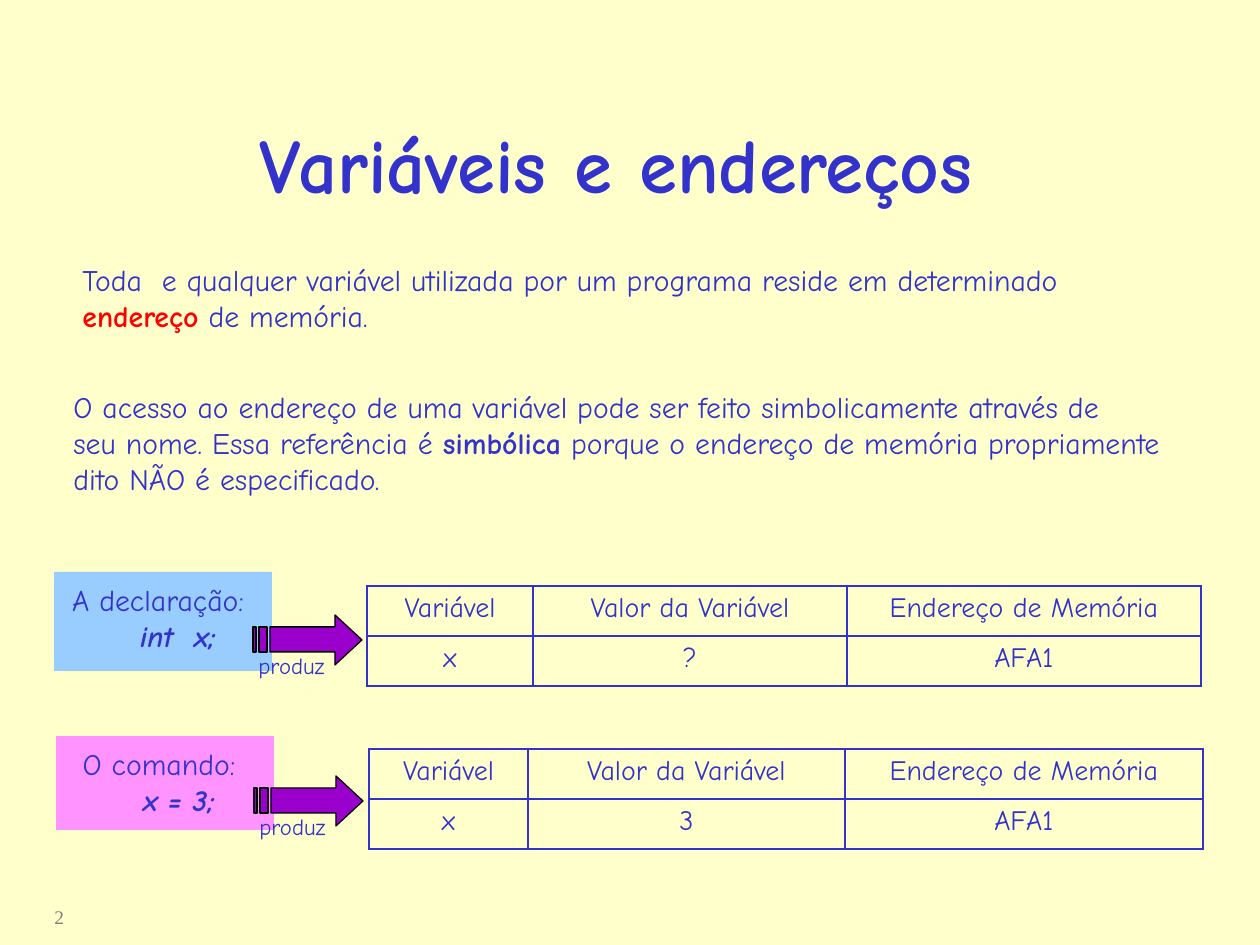
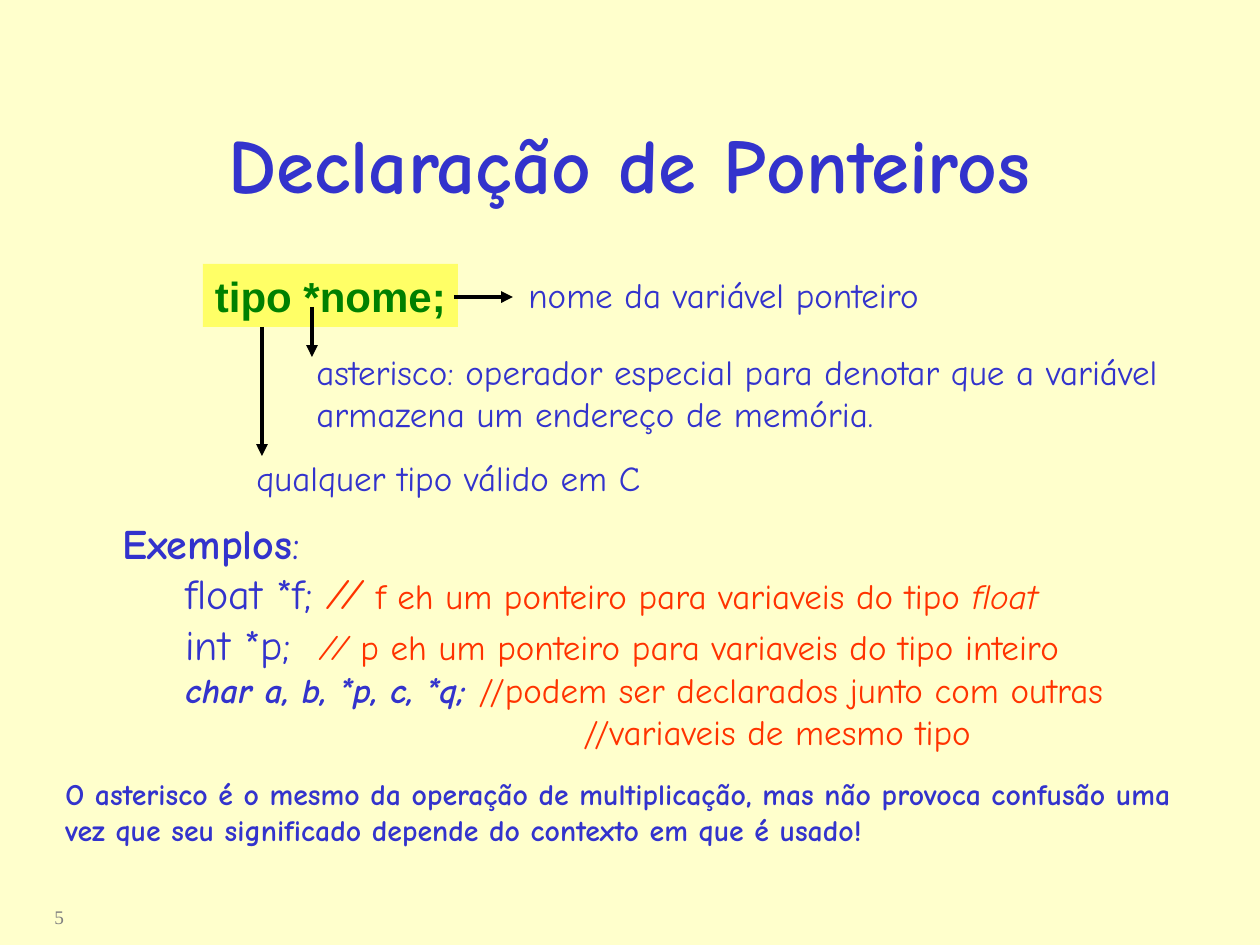
from lxml.etree import SubElement
from pptx import Presentation
from pptx.dml.color import RGBColor
from pptx.enum.shapes import MSO_CONNECTOR, MSO_SHAPE
from pptx.enum.text import MSO_ANCHOR, PP_ALIGN
from pptx.oxml.ns import qn
from pptx.util import Pt

PIXEL = 914400 // 126
BODY_FONT = "Comic Neue"
COLORS = {
    "page": "FFFFCC", "text": "3333CC", "number": "808080", "alert": "FF0000",
    "comment": "FF3300", "declaration": "99CCFF", "command": "FF93FF",
    "arrow": "9900CC", "syntax": "FFFF66", "code": "008000", "line": "000000",
}
BOLD = {"bold": True}
CODE = {"bold": True, "italic": True}
COMMENT = {"color": "comment"}
COMMENT_ITALIC = {"color": "comment", "italic": True}


def rgb(name):
    """Return the named palette colour."""
    return RGBColor.from_string(COLORS[name])


def write(shape, lines, size, color="text", font=BODY_FONT, bold=False,
          align=PP_ALIGN.LEFT, anchor=MSO_ANCHOR.TOP, indents=()):
    """Fill a shape with lines, each a string or a list of (text, changes)."""
    frame = shape.text_frame
    frame.word_wrap = True
    frame.vertical_anchor = anchor
    for index, line in enumerate(lines):
        para = frame.paragraphs[0] if index == 0 else frame.add_paragraph()
        para.alignment = align
        para.font.size, para.font.name, para.font.bold = Pt(size), font, bold
        para.font.color.rgb = rgb(color)
        if index < len(indents):
            para._p.get_or_add_pPr().set("marL", str(indents[index] * PIXEL))
            para._p.get_or_add_pPr().set("indent", "0")
        for text, changes in [(line, {})] if isinstance(line, str) else line:
            span = para.add_run()
            span.text = text
            span.font.size = Pt(changes.get("size", size))
            span.font.name = font
            span.font.bold = changes.get("bold", bold)
            span.font.italic = changes.get("italic", False)
            span.font.color.rgb = rgb(changes.get("color", color))


deck = Presentation()
deck.slide_width, deck.slide_height = 1260 * PIXEL, 945 * PIXEL

# Background, title and page number shared by both slides
pages = []
for title, number in [("Variáveis e endereços ", "2"),
                      ("Declaração de Ponteiros", "5")]:
    page = deck.slides.add_slide(deck.slide_layouts[6])
    page.background.fill.solid()
    page.background.fill.fore_color.rgb = rgb("page")
    box = page.shapes.add_textbox(*[n * PIXEL for n in (42, 899, 242, 37)])
    write(box, [number], 11, "number", "Times New Roman")
    box = page.shapes.add_textbox(*[n * PIXEL for n in (94, 84, 1072, 158)])
    write(box, [title], 44, bold=True, align=PP_ALIGN.CENTER,
          anchor=MSO_ANCHOR.MIDDLE)
    pages.append(page)
addresses, pointers = pages

# Slide 1: explanations
for place, lines in [
    ((70, 256, 1030, 84), [
        "Toda  e qualquer variável utilizada por um programa reside em determinado ",
        [("endereço", {"bold": True, "color": "alert"}), (" de memória.", {})]]),
    ((61, 383, 1130, 120), [
        "O acesso ao endereço de uma variável pode ser feito simbolicamente através de ",
        [("seu nome. Essa referência é ", {}), ("simbólica", BOLD),
         (" porque o endereço de memória propriamente", {})],
        "dito NÃO é especificado."]),
]:
    box = addresses.shapes.add_textbox(*[n * PIXEL for n in place])
    write(box, lines, 17)

# Slide 1: each statement, the memory table it produces, and the arrow between
steps = [
    ("declaration", (54, 572, 218, 99), (49, 576, 218, 84),
     "A declaração:", "int  x;", "?", (367, 586), (166, 314, 354), (253, 615)),
    ("command", (56, 736, 218, 94), (50, 740, 218, 84),
     "O comando:", "x = 3;", "3", (369, 749), (159, 317, 358), (254, 776)),
]
ARROW_PARTS = [
    [(82, 0), (82, 12), (17, 12), (17, 37), (82, 37), (82, 50), (109, 25)],
    [(6, 12), (6, 37), (14, 37), (14, 12)],
    [(0, 12), (0, 37), (3, 37), (3, 12)],
]
for (fill, panel_place, label_place, heading, code, value,
     table_corner, widths, (arrow_x, arrow_y)) in steps:
    panel = addresses.shapes.add_shape(
        MSO_SHAPE.RECTANGLE, *[n * PIXEL for n in panel_place])
    panel.shadow.inherit = False
    panel.fill.solid()
    panel.fill.fore_color.rgb = rgb(fill)
    panel.line.fill.background()
    label = addresses.shapes.add_textbox(*[n * PIXEL for n in label_place])
    write(label, [heading, [(code, CODE)]], 17, align=PP_ALIGN.CENTER,
          indents=(0, 40))

    rows = [("Variável", "Valor da Variável", "Endereço de Memória"),
            ("x", value, "AFA1")]
    size = (sum(widths), 100)
    graphic = addresses.shapes.add_table(
        2, 3, *[n * PIXEL for n in table_corner + size])
    table = graphic.table
    table.first_row = table.horz_banding = False
    for column, width in zip(table.columns, widths):
        column.width = width * PIXEL
    for row, texts in zip(table.rows, rows):
        row.height = 50 * PIXEL
        for cell, text in zip(row.cells, texts):
            write(cell, [text], 16, align=PP_ALIGN.CENTER)
            properties = cell._tc.get_or_add_tcPr()
            for side in ("a:lnL", "a:lnR", "a:lnT", "a:lnB"):
                border = SubElement(properties, qn(side), w=str(Pt(1.08)))
                solid = SubElement(border, qn("a:solidFill"))
                SubElement(solid, qn("a:srgbClr"), val=COLORS["text"])
            cell.fill.background()

    builder = None
    for part in ARROW_PARTS:
        points = [(arrow_x + x, arrow_y + y) for x, y in part]
        if builder is None:
            builder = addresses.shapes.build_freeform(*points[0], scale=PIXEL)
        else:
            builder.move_to(*points[0])
        builder.add_line_segments(points[1:], close=True)
    arrow = builder.convert_to_shape()
    arrow.shadow.inherit = False
    arrow.fill.solid()
    arrow.fill.fore_color.rgb = rgb("arrow")
    arrow.line.color.rgb = rgb("line")
    arrow.line.width = Pt(0.75)
    caption = addresses.shapes.add_textbox(
        *[n * PIXEL for n in (arrow_x - 7, arrow_y + 31, 100, 40)])
    write(caption, ["produz"], 13)

# Slide 2: the syntax and its parts
syntax = pointers.shapes.add_shape(
    MSO_SHAPE.RECTANGLE, *[n * PIXEL for n in (203, 264, 255, 63)])
syntax.shadow.inherit = False
syntax.fill.solid()
syntax.fill.fore_color.rgb = rgb("syntax")
syntax.line.fill.background()
write(syntax, ["tipo *nome;"], 24, "code", "Arial", bold=True,
      align=PP_ALIGN.CENTER, anchor=MSO_ANCHOR.MIDDLE)
# The line nearly fills the panel, so it needs narrow side margins to fit
syntax.text_frame.margin_left = syntax.text_frame.margin_right = 0
syntax.text_frame.word_wrap = False

for place, lines in [
    ((244, 450, 430, 55), ["qualquer tipo válido em C"]),
    ((516, 267, 440, 55), ["nome da variável ponteiro"]),
    ((304, 344, 890, 97), [
        "asterisco: operador especial para denotar que a variável",
        "armazena um endereço de memória."]),
]:
    box = pointers.shapes.add_textbox(*[n * PIXEL for n in place])
    write(box, lines, 20)

for ends in [(262, 327, 262, 456), (454, 297, 513, 297), (312, 307, 312, 357)]:
    pointer = pointers.shapes.add_connector(
        MSO_CONNECTOR.STRAIGHT, *[n * PIXEL for n in ends])
    pointer.line.color.rgb = rgb("line")
    pointer.line.width = Pt(2.25)
    SubElement(pointer.line._get_or_add_ln(), qn("a:tailEnd"), type="triangle")
    SubElement(pointer._element.spPr, qn("a:effectLst"))

# Slide 2: examples and closing remark
examples = pointers.shapes.add_textbox(
    *[n * PIXEL for n in (110, 511, 1060, 248)])
write(examples, [
    [("Exemplos", {"size": 24, "bold": True}), (":", {"size": 24})],
    [("float *f; ", {"size": 24}), ("// ", {**COMMENT_ITALIC, "size": 24}),
     ("f eh um ponteiro para variaveis do tipo", COMMENT),
     (" float", COMMENT_ITALIC)],
    [("int *p;  ", {"size": 24}), ("// ", COMMENT_ITALIC),
     ("p eh um ponteiro para variaveis do tipo inteiro", COMMENT)],
    [("char a, b, *p, c, *q; ", CODE),
     ("//podem ser declarados junto com outras ", COMMENT)],
    [("//variaveis de mesmo tipo", COMMENT)],
], 20, indents=(0, 63, 63, 63, 461))
remark = pointers.shapes.add_textbox(
    *[n * PIXEL for n in (53, 770, 1133, 84)])
write(remark, ["O asterisco é o mesmo da operação de multiplicação, mas não "
               "provoca confusão uma vez que seu significado depende do "
               "contexto em que é usado!"], 17, bold=True)

deck.save("out.pptx")
